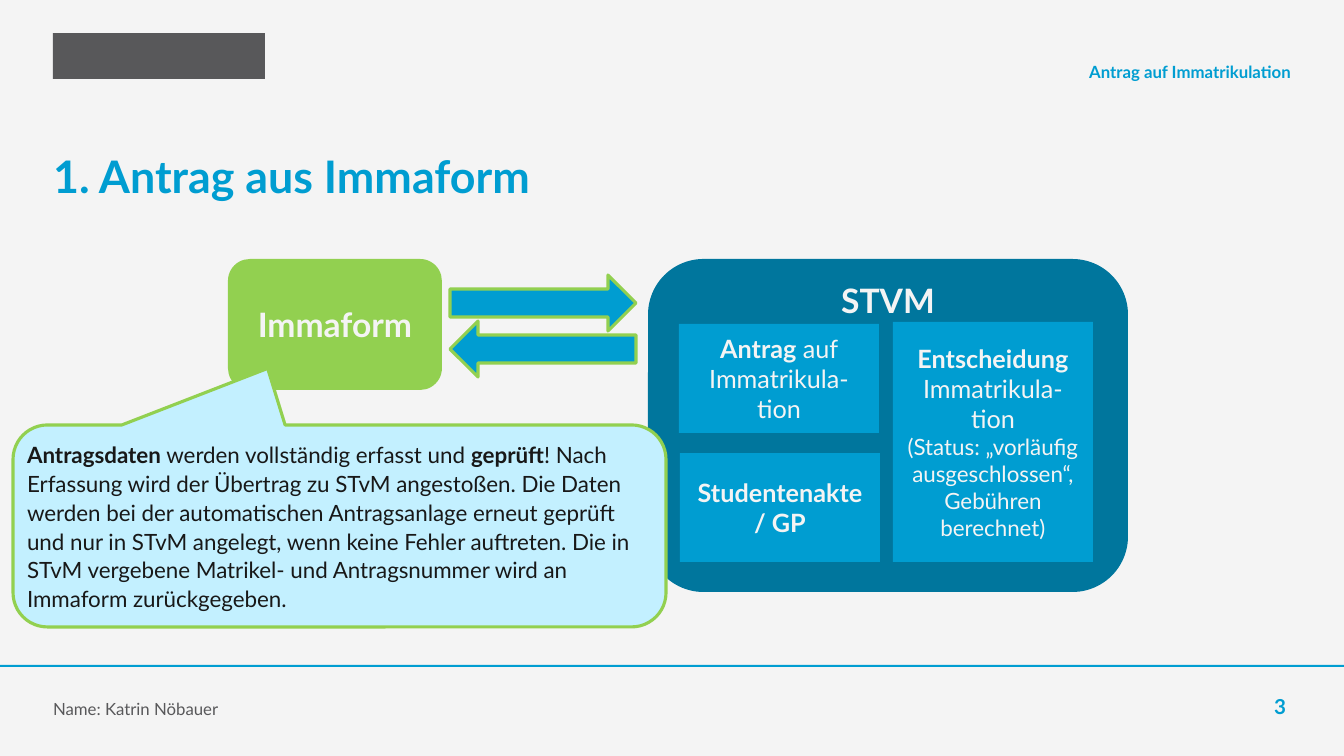
from pptx import Presentation
from pptx.dml.color import RGBColor
from pptx.enum.shapes import MSO_SHAPE
from pptx.enum.text import MSO_ANCHOR, PP_ALIGN
from pptx.util import Pt

EMU_PER_PX = 12192000 / 1344
FONT = "Lato"
BLUE = "009DD1"
DARK_BLUE = "00769D"
PALE_BLUE = "C3F0FF"
GREEN = "92D050"
GRAY = "58585A"
LIGHT = "F4F4F4"
BLACK = "181818"


def px(length):
    return round(length * EMU_PER_PX)


def color(hex_string):
    return RGBColor.from_string(hex_string)


class SlideBuilder:
    def __init__(self, presentation):
        presentation.slide_width = px(1344)
        presentation.slide_height = px(756)
        self.slide = presentation.slides.add_slide(presentation.slide_layouts[6])
        self.slide.background.fill.solid()
        self.slide.background.fill.fore_color.rgb = color(LIGHT)

    def fill_text(self, shape, paragraphs, ink, align=PP_ALIGN.LEFT,
                  anchor=MSO_ANCHOR.MIDDLE, inset=None):
        text_frame = shape.text_frame
        text_frame.word_wrap = True
        text_frame.vertical_anchor = anchor
        if inset is not None:
            text_frame.margin_left = text_frame.margin_right = px(inset)
            text_frame.margin_top = text_frame.margin_bottom = px(inset)
        for index, (size, pieces) in enumerate(paragraphs):
            paragraph = text_frame.add_paragraph() if index else text_frame.paragraphs[0]
            paragraph.alignment = align
            for text, bold in pieces:
                run = paragraph.add_run()
                run.text = text
                run.font.name = FONT
                run.font.size = Pt(size)
                run.font.bold = bold
                run.font.color.rgb = color(ink)

    def label(self, box, text, size, ink, bold=True, align=PP_ALIGN.LEFT,
              anchor=MSO_ANCHOR.BOTTOM):
        shape = self.slide.shapes.add_textbox(*map(px, box))
        self.fill_text(shape, [(size, [(text, bold)])], ink, align, anchor, inset=0)

    def shape(self, kind, box, fill, outline=None):
        shape = self.slide.shapes.add_shape(kind, *map(px, box))
        shape.shadow.inherit = False
        shape.fill.solid()
        shape.fill.fore_color.rgb = color(fill)
        if outline:
            shape.line.color.rgb = color(outline)
            shape.line.width = Pt(2.25)
        else:
            shape.line.fill.background()
        return shape

    def box(self, kind, box, fill, paragraphs, anchor=MSO_ANCHOR.MIDDLE):
        shape = self.shape(kind, box, fill)
        self.fill_text(shape, paragraphs, LIGHT, PP_ALIGN.CENTER, anchor)

    def arrow(self, top, rotation):
        shape = self.shape(MSO_SHAPE.RIGHT_ARROW, (450, top, 186, 56), BLUE, GREEN)
        shape.rotation = rotation

    def callout(self, box, adjustments, pieces):
        shape = self.shape(MSO_SHAPE.ROUNDED_RECTANGULAR_CALLOUT, box, PALE_BLUE, GREEN)
        for index, value in enumerate(adjustments):
            shape.adjustments[index] = value
        self.fill_text(shape, [(16, pieces)], BLACK, inset=4)
        paragraph = shape.text_frame.paragraphs[0]
        paragraph.line_spacing = 1.07
        paragraph.space_after = Pt(8)


def main():
    presentation = Presentation()
    builder = SlideBuilder(presentation)

    builder.shape(MSO_SHAPE.RECTANGLE, (53, 33, 212, 46), GRAY)
    builder.shape(MSO_SHAPE.RECTANGLE, (0, 665, 1344, 2), BLUE)
    builder.label((53, 149, 1239, 63), "1. Antrag aus Immaform", 32, BLUE,
                  anchor=MSO_ANCHOR.TOP)
    builder.label((529, 43, 762, 39), "Antrag auf Immatrikulation", 12, BLUE,
                  align=PP_ALIGN.RIGHT)
    builder.label((53, 680, 762, 39), "Name: Katrin Nöbauer", 12, GRAY, bold=False)
    builder.label((1185, 680, 101, 39), "3", 14.7, BLUE, align=PP_ALIGN.RIGHT)

    builder.box(MSO_SHAPE.ROUNDED_RECTANGLE, (228, 259, 214, 131), GREEN,
                [(24, [("Immaform", True)])])
    builder.box(MSO_SHAPE.ROUNDED_RECTANGLE, (648, 259, 480, 333), DARK_BLUE,
                [(24, [("STVM", True)])], MSO_ANCHOR.TOP)
    builder.callout((13, 425, 653, 202), (-0.11, -0.78, 0.17), [
        ("Antragsdaten", True),
        (" werden vollständig erfasst und ", False),
        ("geprüft", True),
        ("! Nach Erfassung wird der Übertrag zu STvM angestoßen. Die Daten werden "
         "bei der automatischen Antragsanlage erneut geprüft und nur in STvM "
         "angelegt, wenn keine Fehler auftreten. Die in STvM vergebene Matrikel- "
         "und Antragsnummer wird an Immaform zurückgegeben.", False),
    ])

    for top, rotation in ((275, 0), (321, 180)):
        builder.arrow(top, rotation)

    steps = [
        ((679, 324, 200, 109),
         [(18, [("Antrag", True), (" auf Immatrikula-tion", False)])]),
        ((893, 322, 200, 240),
         [(18, [("Entscheidung", True), (" Immatrikula-tion", False)]),
          (16, [("(Status: „vorläufig ausgeschlossen“, Gebühren berechnet)", False)])]),
        ((680, 453, 200, 109), [(18, [("Studentenakte / GP", True)])]),
    ]
    for box, paragraphs in steps:
        builder.box(MSO_SHAPE.RECTANGLE, box, BLUE, paragraphs)

    presentation.save("out.pptx")


if __name__ == "__main__":
    main()
